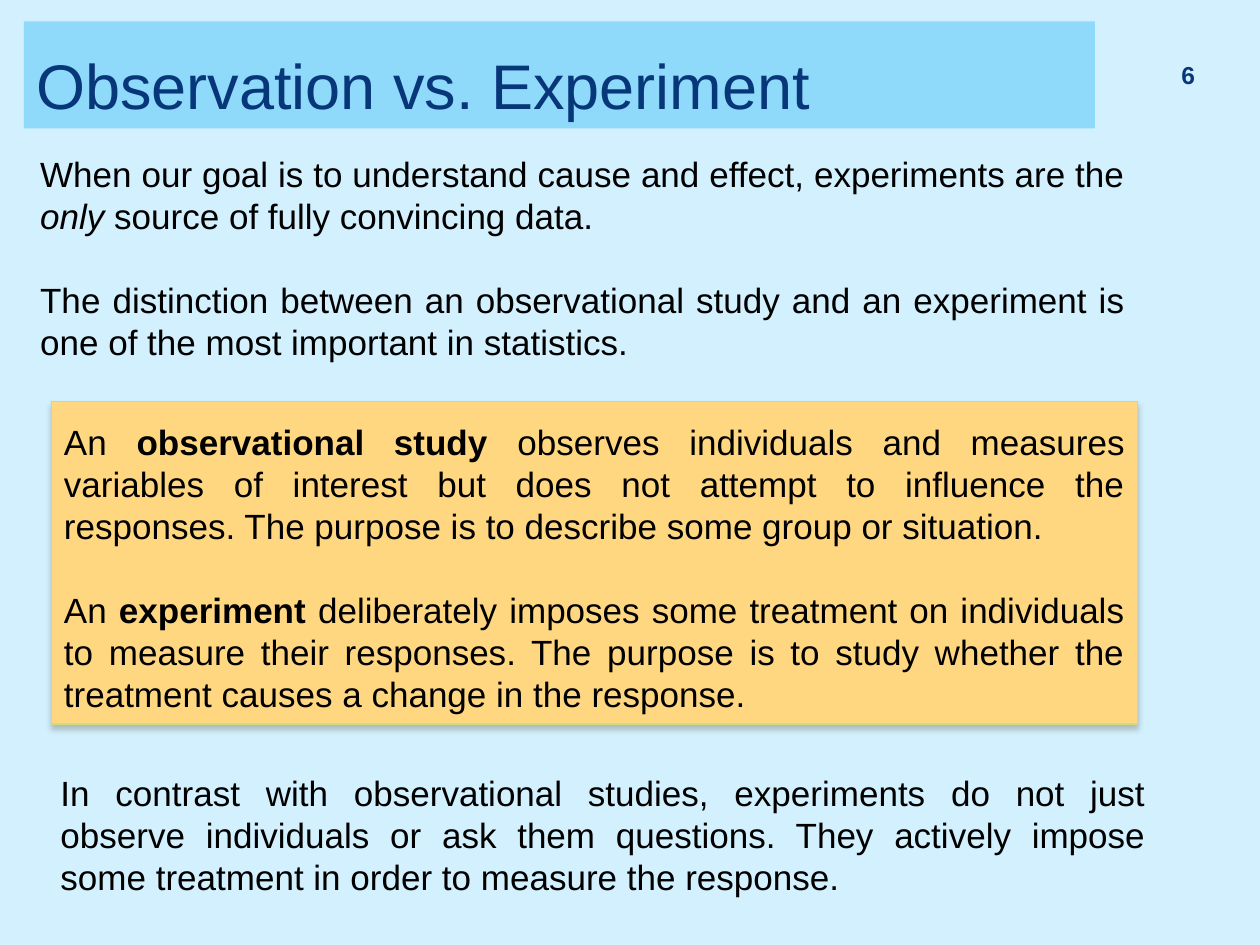
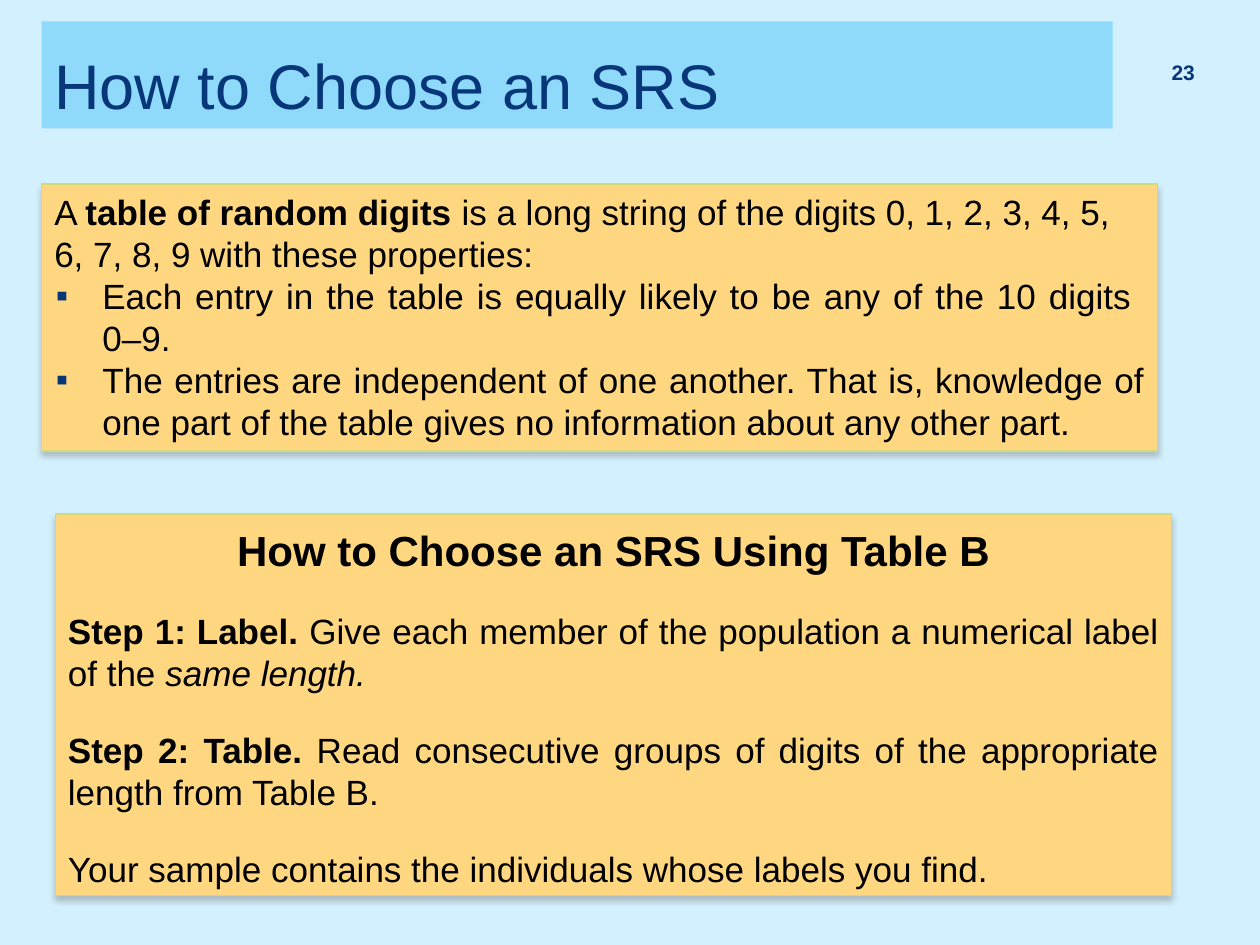
from dataclasses import dataclass

from lxml import etree
from pptx import Presentation
from pptx.dml.color import RGBColor
from pptx.enum.shapes import MSO_SHAPE as Shape
from pptx.enum.text import MSO_ANCHOR as Anchor, MSO_AUTO_SIZE as AutoSize, PP_ALIGN as Align
from pptx.oxml.ns import qn
from pptx.util import Cm, Pt

FONT = "Arial"
BACKGROUND, BAND, PANEL, PANEL_EDGE = "D2F0FD", "8FD9FB", "FFD780", "D2DA7A"
NAVY, BLACK, SHADOW = "073779", "000000", "808080"
TITLE_ONLY, TITLE_AND_BODY = 5, 1
BLANK_LINE = 24  # gap in points, one line of body text


def color(hex_string):
    return RGBColor.from_string(hex_string)


@dataclass
class Passage:
    """One paragraph: pieces are (text, style), style being "", "b" or "i"."""
    pieces: list
    align: Align = Align.JUSTIFY
    size: int = 20
    ink: str = BLACK
    after: int = 0
    spacing: float = 1.0
    bullet: str = ""


class Deck:
    def __init__(self):
        self.presentation = Presentation()
        self.presentation.slide_width = Cm(25.4)
        self.presentation.slide_height = Cm(19.05)
        fill = self.presentation.slide_master.background.fill
        fill.solid()
        fill.fore_color.rgb = color(BACKGROUND)
        self.slide = None

    def new_slide(self, layout, title, title_left, number, number_size, number_spacing=1.0):
        self.slide = self.presentation.slides.add_slide(
            self.presentation.slide_layouts[layout])
        # Title band
        band = self.slide.shapes.title
        self.place(band, (title_left, 0.43, 21.59, 2.16))
        self.paint(band, BAND)
        self.fill_text(band, [Passage([(title, "")], Align.LEFT, 36, NAVY)], Anchor.BOTTOM)
        # Page number
        self.text((22.94, 0.99, 1.4, 1.02),
                  [Passage([(number, "b")], Align.RIGHT, number_size, NAVY,
                           spacing=number_spacing)], Anchor.MIDDLE)

    def text(self, box, passages, anchor=Anchor.TOP):
        shape = self.slide.shapes.add_textbox(*map(Cm, box))
        self.fill_text(shape, passages, anchor)

    def panel(self, box, passages, anchor=Anchor.TOP, top_inset=0.13):
        shape = self.slide.shapes.add_shape(Shape.RECTANGLE, *map(Cm, box))
        self.style_panel(shape)
        self.fill_text(shape, passages, anchor, top_inset)

    def list_panel(self, box, passages):
        shape = self.slide.placeholders[1]
        self.place(shape, box)
        self.style_panel(shape)
        self.fill_text(shape, passages)

    def style_panel(self, shape):
        self.paint(shape, PANEL)
        shape.line.color.rgb = color(PANEL_EDGE)
        shape.line.width = Pt(0.8)
        shape.shadow.inherit = False
        effects = shape._element.spPr.find(qn("a:effectLst"))
        outer = etree.SubElement(effects, qn("a:outerShdw"), blurRad=str(Pt(3)),
                                 dist=str(Pt(2.4)), dir="5400000", rotWithShape="0")
        tint = etree.SubElement(outer, qn("a:srgbClr"), val=SHADOW)
        etree.SubElement(tint, qn("a:alpha"), val="45000")

    def fill_text(self, shape, passages, anchor=Anchor.TOP, top_inset=0.13):
        frame = shape.text_frame
        frame.word_wrap = True
        frame.auto_size = AutoSize.NONE
        frame.vertical_anchor = anchor
        frame.margin_top = Cm(top_inset)
        for index, passage in enumerate(passages):
            paragraph = frame.add_paragraph() if index else frame.paragraphs[0]
            self.fill_paragraph(paragraph, passage)

    def fill_paragraph(self, paragraph, passage):
        self.set_bullet(paragraph, passage.bullet)
        paragraph.alignment = passage.align
        paragraph.space_before = Pt(0)
        paragraph.space_after = Pt(passage.after)
        paragraph.line_spacing = passage.spacing
        paragraph.text = passage.pieces[0][0]
        styles = [passage.pieces[0][1]] * len(paragraph.runs)
        for words, style in passage.pieces[1:]:
            paragraph.add_run().text = words
            styles.append(style)
        for run, style in zip(paragraph.runs, styles):
            run.font.name = FONT
            run.font.size = Pt(passage.size)
            run.font.color.rgb = color(passage.ink)
            run.font.bold = style == "b"
            run.font.italic = style == "i"

    @staticmethod
    def set_bullet(paragraph, bullet):
        properties = paragraph._p.get_or_add_pPr()
        properties.set("marL", str(Cm(0.97) if bullet else 0))
        properties.set("indent", str(Cm(-0.94) if bullet else 0))
        if bullet:
            tint = etree.SubElement(properties, qn("a:buClr"))
            etree.SubElement(tint, qn("a:srgbClr"), val=NAVY)
            etree.SubElement(properties, qn("a:buFont"), typeface=FONT)
            etree.SubElement(properties, qn("a:buChar"), char=bullet)
        else:
            etree.SubElement(properties, qn("a:buNone"))

    @staticmethod
    def place(shape, box):
        shape.left, shape.top, shape.width, shape.height = map(Cm, box)

    @staticmethod
    def paint(shape, fill):
        shape.fill.solid()
        shape.fill.fore_color.rgb = color(fill)


def observation_slide(deck):
    deck.new_slide(TITLE_ONLY, "Observation vs. Experiment", 0.48, "6", 14)
    # Why experiments matter
    deck.text((0.56, 2.95, 22.38, 4.52), [
        Passage([("When our goal is to understand cause and effect, experiments are the ", ""),
                 ("only ", "i"), ("source of fully convincing data.", "")], after=BLANK_LINE),
        Passage([("The distinction between an observational study and an experiment is "
                  "one of the most important in statistics.", "")]),
    ])
    # Definitions
    deck.panel((1.04, 8.1, 21.89, 6.5), [
        Passage([("An ", ""), ("observational study ", "b"),
                 ("observes individuals and measures variables of interest but does not "
                  "attempt to influence the responses. The purpose is to describe some "
                  "group or situation.", "")], after=BLANK_LINE),
        Passage([("An ", ""), ("experiment ", "b"),
                 ("deliberately imposes some treatment on individuals to measure their "
                  "responses. The purpose is to study whether the treatment causes a "
                  "change in the response.", "")]),
    ], top_inset=0.37)
    # Contrast
    deck.text((0.97, 15.42, 22.38, 3.15), [
        Passage([("In contrast with observational studies, experiments do not just observe "
                  "individuals or ask them questions. They actively impose some treatment "
                  "in order to measure the response.", "")]),
    ])


def sampling_slide(deck):
    deck.new_slide(TITLE_AND_BODY, "How to Choose an SRS", 0.84, "23", 12, 0.8)
    # Properties of the random digits
    deck.list_panel((0.84, 3.71, 22.5, 5.38), [
        Passage([("A ", ""), ("table of random digits ", "b"),
                 ("is a long string of the digits 0, 1, 2, 3, 4, 5, 6, 7, 8, 9 with "
                  "these properties:", "")], Align.LEFT),
        Passage([("Each entry in the table is equally likely to be any of the 10 digits "
                  "\v0–9.", "")], bullet="▪"),
        Passage([("The entries are independent of one another. That is, knowledge of one "
                  "part of the table gives no information about any other part.", "")],
                bullet="▪"),
    ])
    # Steps
    deck.panel((1.12, 10.36, 22.5, 7.7), [
        Passage([("How to Choose an SRS Using Table B", "b")], Align.CENTER, 24, after=20),
        Passage([("Step 1: Label. ", "b"),
                 ("Give each member of the population a numerical label of the ", ""),
                 ("same length.", "i")], after=20),
        Passage([("Step 2: Table. ", "b"),
                 ("Read consecutive groups of digits of the appropriate length from "
                  "Table B.", "")], after=20),
        Passage([("Your sample contains the individuals whose labels you find.", "")]),
    ], Anchor.BOTTOM)


def main():
    deck = Deck()
    observation_slide(deck)
    sampling_slide(deck)
    deck.presentation.save("out.pptx")


if __name__ == "__main__":
    main()
